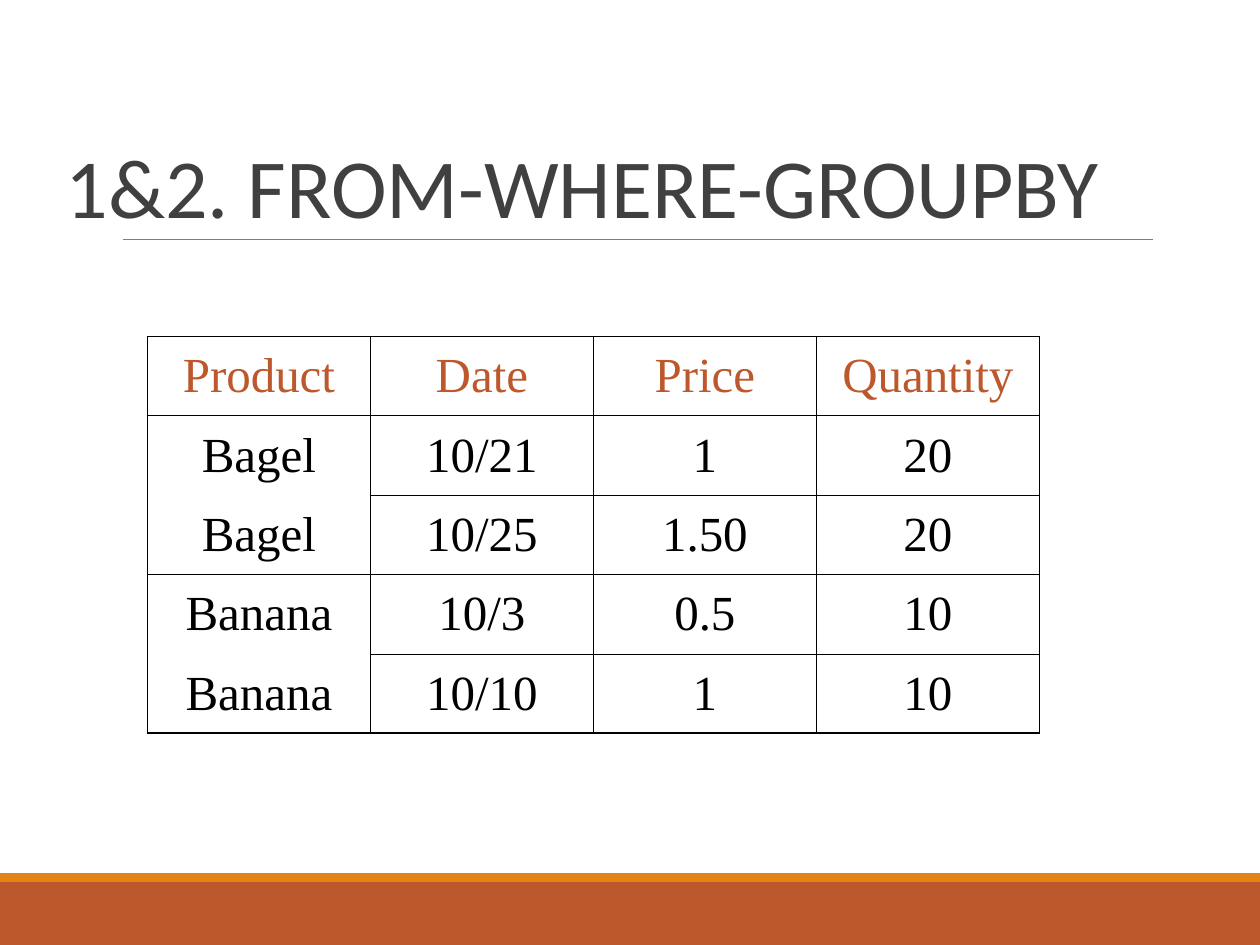
"""Build a slide showing rows grouped by product in a ruled table."""
from lxml.etree import SubElement
from pptx import Presentation
from pptx.dml.color import RGBColor
from pptx.enum.shapes import MSO_CONNECTOR, MSO_SHAPE
from pptx.enum.text import MSO_ANCHOR, MSO_AUTO_SIZE, PP_ALIGN
from pptx.oxml.ns import qn
from pptx.util import Inches, Pt

TITLE = "1&2. FROM-WHERE-GROUPBY"
HEADER = ("Product", "Date", "Price", "Quantity")
GROUPS = [
    [("Bagel", "10/21", "1", "20"), ("Bagel", "10/25", "1.50", "20")],
    [("Banana", "10/3", "0.5", "10"), ("Banana", "10/10", "1", "10")],
]

RUST = RGBColor(0xBD, 0x58, 0x2C)
ORANGE = RGBColor(0xE4, 0x83, 0x12)
GRAY = RGBColor(0x7F, 0x7F, 0x7F)
CHARCOAL = RGBColor(0x40, 0x40, 0x40)
BLACK = RGBColor(0, 0, 0)

WIDTH, HEIGHT = 10, 7.5
FOOTER_TOP, STRIPE_HEIGHT = 7, 0.07
RULE_LEFT, RULE_RIGHT, RULE_TOP = 0.98, 9.15, 1.9
TABLE_LEFT, TABLE_TOP = 1.17, 2.67
COLUMN_WIDTH, ROW_HEIGHT = 1.77, 0.63
OUTER, INNER = 1.08, 0.45


def add_band(slide, top, height, color):
    band = slide.shapes.add_shape(
        MSO_SHAPE.RECTANGLE, 0, Inches(top), Inches(WIDTH), Inches(height))
    band.shadow.inherit = False
    band.fill.solid()
    band.fill.fore_color.rgb = color
    band.line.fill.background()


def add_title_rule(slide):
    rule = slide.shapes.add_connector(
        MSO_CONNECTOR.STRAIGHT, Inches(RULE_LEFT), Inches(RULE_TOP),
        Inches(RULE_RIGHT), Inches(RULE_TOP))
    rule.line.color.rgb = GRAY
    rule.line.width = Pt(0.5)
    SubElement(rule._element.spPr, qn("a:effectLst"))


def format_title(title):
    title.left, title.top = Inches(0.42), Inches(0.67)
    title.width, title.height = Inches(9), Inches(1.25)
    frame = title.text_frame
    frame.text = TITLE
    frame.auto_size = MSO_AUTO_SIZE.NONE
    frame.vertical_anchor = MSO_ANCHOR.BOTTOM
    paragraph = frame.paragraphs[0]
    paragraph.alignment = PP_ALIGN.LEFT
    paragraph.line_spacing = 0.85
    style_run(paragraph, "Calibri", 48, CHARCOAL)


def style_run(paragraph, font_name, size, color):
    font = paragraph.runs[0].font
    font.name, font.size, font.color.rgb = font_name, Pt(size), color


def set_borders(cell, widths):
    properties = cell._tc.get_or_add_tcPr()
    for side, width in zip("LRTB", widths):
        border = SubElement(properties, qn(f"a:ln{side}"), w=str(Pt(width)))
        if width:
            fill = SubElement(border, qn("a:solidFill"))
            SubElement(fill, qn("a:srgbClr"), val=str(BLACK))
        else:
            SubElement(border, qn("a:noFill"))


def add_sales_table(slide):
    rows = [HEADER] + [row for group in GROUPS for row in group]
    last_row, last_column = len(rows) - 1, len(HEADER) - 1
    table = slide.shapes.add_table(
        len(rows), len(HEADER), Inches(TABLE_LEFT), Inches(TABLE_TOP),
        Inches(COLUMN_WIDTH * len(HEADER)), Inches(ROW_HEIGHT * len(rows))).table
    table.first_row = table.horz_banding = False

    def row_border(edge, column):
        if edge in (0, len(rows)):
            return OUTER
        same_group = rows[edge - 1][0] == rows[edge][0]
        return 0 if column == 0 and same_group else INNER

    for r, row in enumerate(rows):
        for c, value in enumerate(row):
            cell = table.cell(r, c)
            set_borders(cell, (
                OUTER if c == 0 else INNER,
                OUTER if c == last_column else INNER,
                row_border(r, c), row_border(r + 1, c)))
            cell.fill.background()
            cell.vertical_anchor = MSO_ANCHOR.MIDDLE
            cell.text_frame.text = value
            paragraph = cell.text_frame.paragraphs[0]
            paragraph.alignment = PP_ALIGN.CENTER
            style_run(paragraph, "Times New Roman", 28, BLACK if r else RUST)


def main():
    deck = Presentation()
    deck.slide_width, deck.slide_height = Inches(WIDTH), Inches(HEIGHT)
    slide = deck.slides.add_slide(deck.slide_layouts[5])
    add_band(slide, FOOTER_TOP, HEIGHT - FOOTER_TOP, RUST)
    add_band(slide, FOOTER_TOP - STRIPE_HEIGHT, STRIPE_HEIGHT, ORANGE)
    add_title_rule(slide)
    format_title(slide.shapes.title)
    add_sales_table(slide)
    deck.save("out.pptx")


if __name__ == "__main__":
    main()
